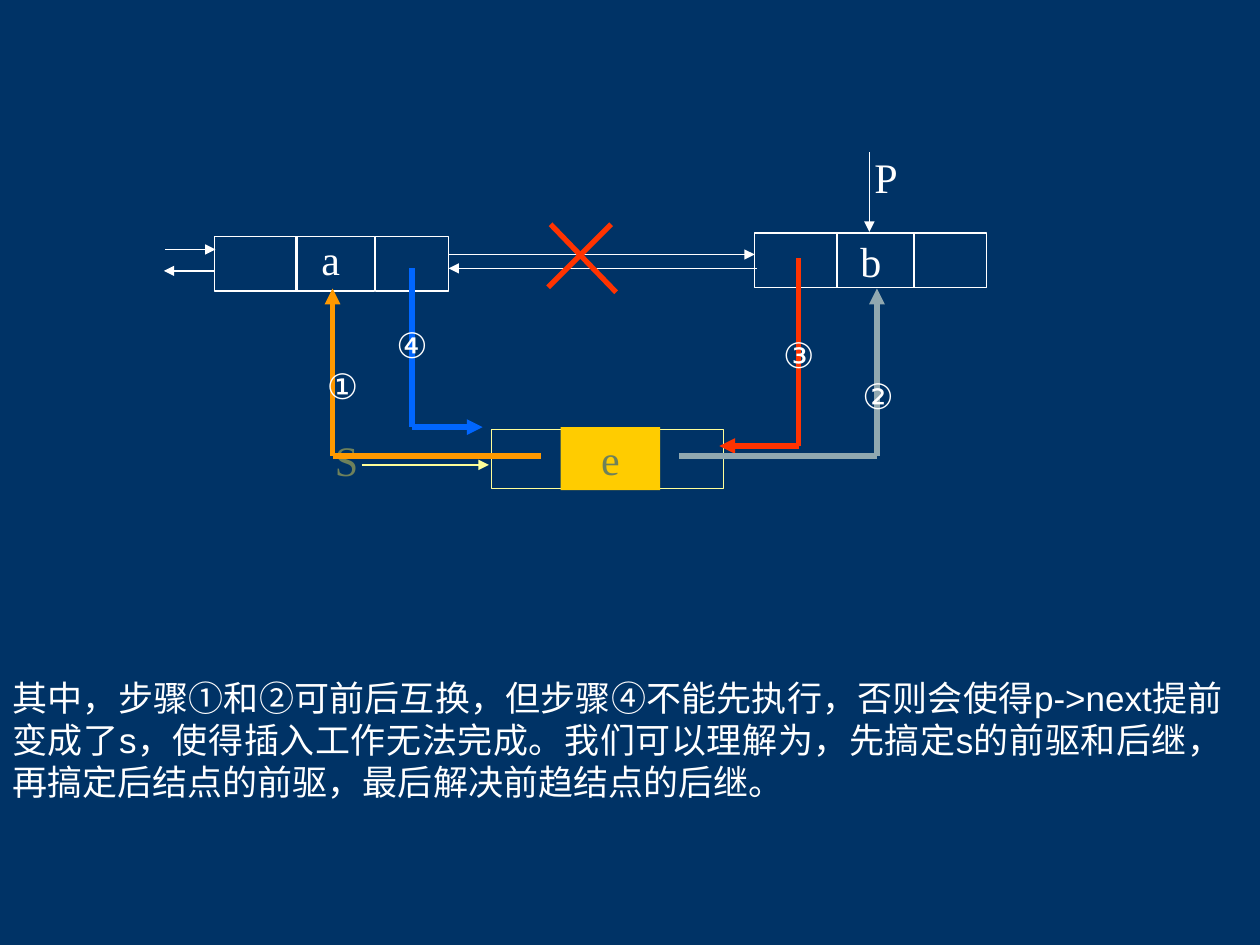
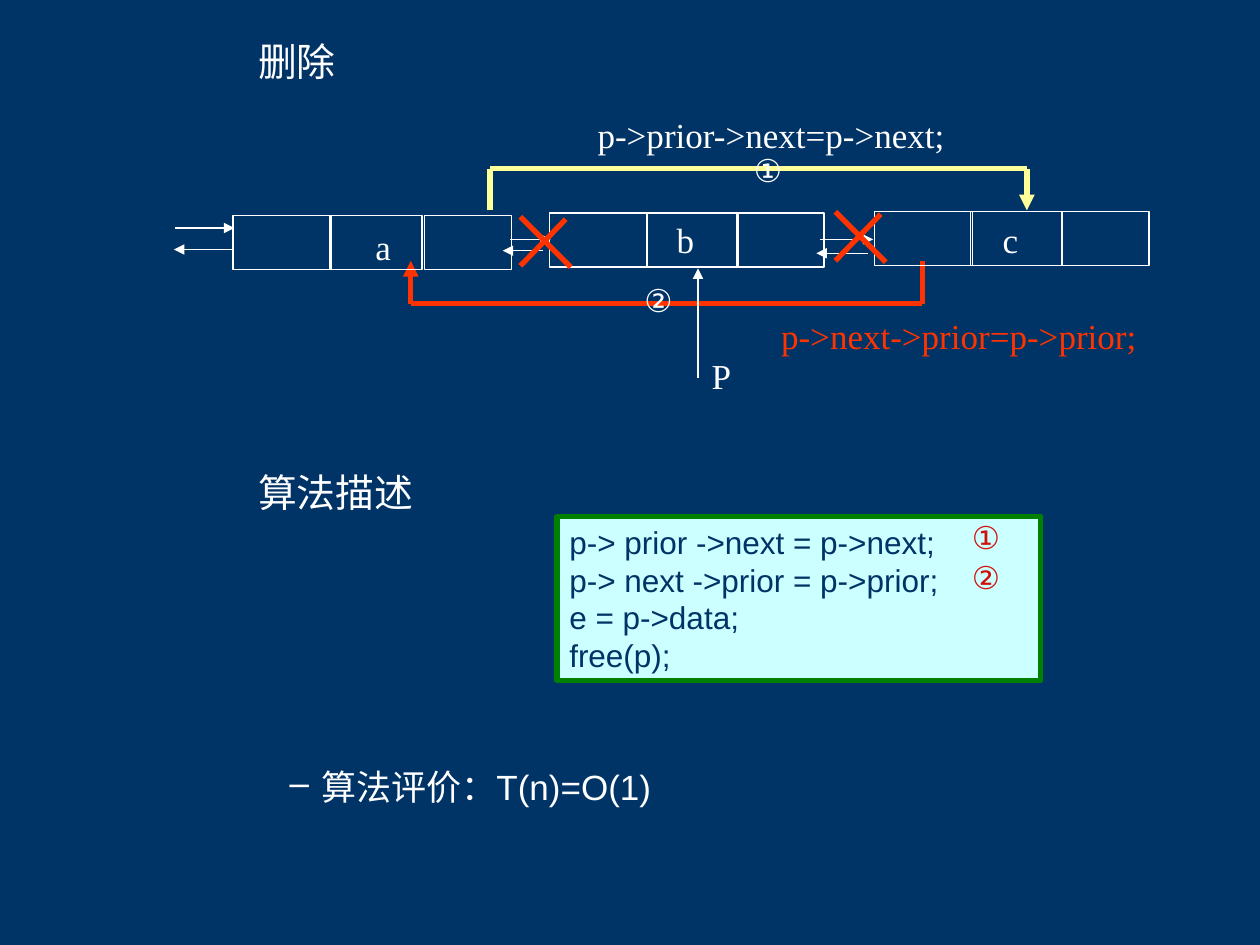
from itertools import pairwise

from lxml import etree
from pptx import Presentation
from pptx import util as u
from pptx.dml.color import RGBColor
from pptx.enum import shapes, text
from pptx.oxml import ns

NAVY = RGBColor(0x00, 0x33, 0x66)
WHITE = RGBColor(0xFF, 0xFF, 0xFF)
PALE_YELLOW = RGBColor(0xFF, 0xFF, 0x99)
GOLD = RGBColor(0xFF, 0xCC, 0x00)
OLIVE = RGBColor(0x6E, 0x81, 0x5B)
ORANGE = RGBColor(0xFF, 0x99, 0x00)
RED = RGBColor(0xFF, 0x33, 0x00)
DARK_RED = RGBColor(0xD1, 0x10, 0x0B)
GREY = RGBColor(0x90, 0xA8, 0xB0)
BLUE = RGBColor(0x00, 0x66, 0xFF)
GREEN = RGBColor(0x00, 0x80, 0x00)
PALE_CYAN = RGBColor(0xCC, 0xFF, 0xFF)

SANS, SERIF = "Arial", "Times New Roman"
THIN, THICK = 0.75, 3
LEFT, CENTER, JUSTIFY = (text.PP_ALIGN.LEFT, text.PP_ALIGN.CENTER,
                         text.PP_ALIGN.JUSTIFY)
TOP, MIDDLE = text.MSO_ANCHOR.TOP, text.MSO_ANCHOR.MIDDLE


def set_values(target, values):
    for name, value in values.items():
        setattr(target, name, value)


class Deck:
    """Holds the shared style and the current slide."""

    def __init__(self):
        self.presentation = Presentation()
        set_values(self.presentation, {"slide_width": u.Inches(10),
                                       "slide_height": u.Inches(7.5)})
        self.slide = None

    def new_slide(self):
        layout = self.presentation.slide_layouts[6]
        self.slide = self.presentation.slides.add_slide(layout)
        fill = self.slide.background.fill
        fill.solid()
        fill.fore_color.rgb = NAVY

    def fill_text(self, shape, lines, size, font=SERIF, color=WHITE, align=CENTER,
                  anchor=MIDDLE, wrap=False, indent=0, bullet=None):
        """Fill a shape with one paragraph per line."""
        frame = shape.text_frame
        set_values(frame, {"word_wrap": wrap, "vertical_anchor": anchor,
                           "auto_size": text.MSO_AUTO_SIZE.SHAPE_TO_FIT_TEXT})
        for index, line in enumerate(lines.split("\n")):
            paragraph = frame.add_paragraph() if index else frame.paragraphs[0]
            paragraph.alignment = align
            if indent:
                properties = paragraph._p.get_or_add_pPr()
                properties.set("marL", str(u.Inches(indent)))
                if bullet:
                    properties.set("indent", str(u.Inches(-0.25)))
                    etree.SubElement(properties, ns.qn("a:buChar"), char=bullet)
            run = paragraph.add_run()
            run.text = line
            set_values(run.font, {"name": font, "size": u.Pt(size)})
            run.font.color.rgb = color

    def label(self, lines, left, top, width, height, size, **style):
        box = self.slide.shapes.add_textbox(*map(u.Inches, (left, top, width, height)))
        self.fill_text(box, lines, size, **style)

    def step(self, number, left, top, size=20, color=WHITE):
        """Circled step number."""
        width, height = (0.48, 0.44) if size == 20 else (0.45, 0.4)
        self.label(number, left, top, width, height, size,
                   font=SANS, color=color, anchor=TOP)

    def box(self, left, top, width, height, line=None, fill=None, weight=THIN):
        shape = self.slide.shapes.add_shape(
            shapes.MSO_SHAPE.RECTANGLE, *map(u.Inches, (left, top, width, height)))
        shape.shadow.inherit = False
        if fill is None:
            shape.fill.background()
        else:
            shape.fill.solid()
            shape.fill.fore_color.rgb = fill
        if line is None:
            shape.line.fill.background()
        else:
            shape.line.color.rgb = line
            shape.line.width = u.Pt(weight)
        return shape

    def node(self, lefts, top, widths):
        """List node: prior, data and next cells."""
        for left, width in zip(lefts, widths):
            self.box(left, top, width, 0.43, WHITE)

    def route(self, points, color=WHITE, weight=THIN, arrow=True):
        """Straight segments through the points, with an arrow at the end."""
        for start, end in pairwise(points):
            connector = self.slide.shapes.add_connector(
                shapes.MSO_CONNECTOR.STRAIGHT, *map(u.Inches, (*start, *end)))
            connector.line.color.rgb = color
            connector.line.width = u.Pt(weight)
            etree.SubElement(connector._element.spPr, ns.qn("a:effectLst"))
        if arrow:
            etree.SubElement(connector.line._get_or_add_ln(),
                             ns.qn("a:tailEnd"), type="triangle")

    def cross(self, *strokes):
        """Red mark over a removed link."""
        for stroke in strokes:
            self.route(stroke, RED, THICK, arrow=False)


def build_insertion(deck):
    deck.new_slide()

    # New node e with its pointer S
    deck.box(5.16, 3.41, 0.58, 0.47, PALE_YELLOW)
    deck.box(3.9, 3.41, 0.66, 0.47, PALE_YELLOW)
    deck.fill_text(deck.box(4.45, 3.39, 0.79, 0.5, fill=GOLD), "e", 24,
                   color=OLIVE, wrap=True)
    deck.route([(2.87, 3.69), (3.88, 3.69)], PALE_YELLOW)
    deck.label("S", 2.56, 3.4, 0.38, 0.5, 24, color=OLIVE)

    # Existing nodes a and b
    cell_widths = (0.66, 0.62, 0.58)
    deck.node((1.7, 2.35, 2.98), 1.88, cell_widths)
    deck.node((5.99, 6.64, 7.25), 1.85, cell_widths)
    for name, left, top, width in (("a", 2.45, 1.8, 0.35), ("b", 6.73, 1.82, 0.36),
                                   ("P", 6.84, 1.15, 0.38)):
        deck.label(name, left, top, width, 0.5, 24)
    for link in ([(1.31, 1.98), (1.71, 1.98)], [(1.7, 2.15), (1.3, 2.15)],
                 [(3.56, 2.02), (5.99, 2.02)], [(6.01, 2.13), (3.56, 2.13)],
                 [(6.9, 1.21), (6.9, 1.84)]):
        deck.route(link)
    deck.cross([(4.85, 1.78), (4.35, 2.28)], [(4.37, 1.78), (4.89, 2.32)])

    # Numbered pointer changes
    for number, left, top, color, points in (
            ("①", 2.48, 2.84, ORANGE, [(4.29, 3.62), (2.64, 3.62), (2.64, 2.29)]),
            ("③", 6.1, 2.6, RED, [(6.34, 2.05), (6.34, 3.54), (5.71, 3.54)]),
            ("②", 6.73, 2.92, GREY, [(5.39, 3.62), (6.96, 3.62), (6.96, 2.29)]),
            ("④", 3.03, 2.52, BLUE, [(3.27, 2.13), (3.27, 3.39), (3.83, 3.39)])):
        deck.route(points, color, THICK)
        deck.step(number, left, top)

    # Explanation
    deck.label("其中，步骤①和②可前后互换，但步骤④不能先执行，否则会使得p->next提前变成了s，"
               "使得插入工作无法完成。我们可以理解为，先搞定s的前驱和后继，"
               "再搞定后结点的前驱，最后解决前趋结点的后继。",
               0, 5.32, 9.8, 1.1, 20, font=SANS, align=JUSTIFY, wrap=True)


def build_deletion(deck):
    deck.new_slide()

    # New links around node b
    deck.route([(3.89, 1.67), (3.89, 1.34), (8.15, 1.34), (8.15, 1.67)],
               PALE_YELLOW, THICK)
    deck.route([(7.32, 2.07), (7.32, 2.41), (3.26, 2.41), (3.26, 2.07)], RED, THICK)

    # Nodes a, b and c
    cell_widths = (0.78, 0.73, 0.69)
    deck.node((1.85, 2.62, 3.37), 1.71, cell_widths)
    deck.node((4.36, 5.13, 5.85), 1.69, cell_widths)
    deck.node((6.94, 7.7, 8.43), 1.68, cell_widths)
    for name, left, top, width in (("a", 2.88, 1.74, 0.32), ("b", 5.27, 1.68, 0.34),
                                   ("c", 7.86, 1.68, 0.32), ("P", 5.55, 2.76, 0.35)):
        deck.label(name, left, top, width, 0.44, 20)
    for link in ([(1.39, 1.81), (1.86, 1.81)], [(1.86, 1.98), (1.38, 1.98)],
                 [(4.05, 1.9), (4.37, 1.9)], [(4.31, 1.99), (3.99, 1.99)],
                 [(6.51, 1.9), (6.93, 1.9)], [(6.89, 2.01), (6.48, 2.01)],
                 [(5.54, 3), (5.54, 2.13)]):
        deck.route(link)

    # Code box
    deck.fill_text(deck.box(4.42, 4.1, 3.84, 1.3, GREEN, PALE_CYAN, THICK),
                   "p-> prior ->next = p->next;\np-> next ->prior = p->prior;\n"
                   "e = p->data;\nfree(p);",
                   18, font=SANS, color=NAVY, align=LEFT, wrap=True)

    # Headings
    for heading, top, size, indent, bullet in (
            ("删除", 0.25, 22.2, 1.25, None),
            ("算法描述", 3.67, 22.2, 1.25, None),
            ("算法评价：T(n)=O(1)", 6.03, 20, 1.75, "–")):
        deck.label(heading, 0.7, top, 9.3, 0.48, size, font=SANS, align=LEFT,
                   anchor=TOP, wrap=True, indent=indent, bullet=bullet)

    # Statements, removed links and step numbers
    deck.label("p->prior->next=p->next;", 4.64, 0.85, 2.96, 0.44, 20)
    deck.label("p->next->prior=p->prior;", 6.1, 2.44, 3.02, 0.44, 20, color=RED)
    for left, top in ((4.13, 1.72), (6.63, 1.68)):
        deck.cross([(left + 0.36, top + 0.02), (left, top + 0.39)],
                   [(left, top), (left + 0.4, top + 0.4)])
    for number, left, top, color in (
            ("①", 5.87, 1.15, WHITE), ("②", 5, 2.18, WHITE),
            ("①", 7.6, 4.06, DARK_RED), ("②", 7.6, 4.38, DARK_RED)):
        deck.step(number, left, top, 18, color)


def main():
    deck = Deck()
    build_insertion(deck)
    build_deletion(deck)
    deck.presentation.save("out.pptx")


if __name__ == "__main__":
    main()
